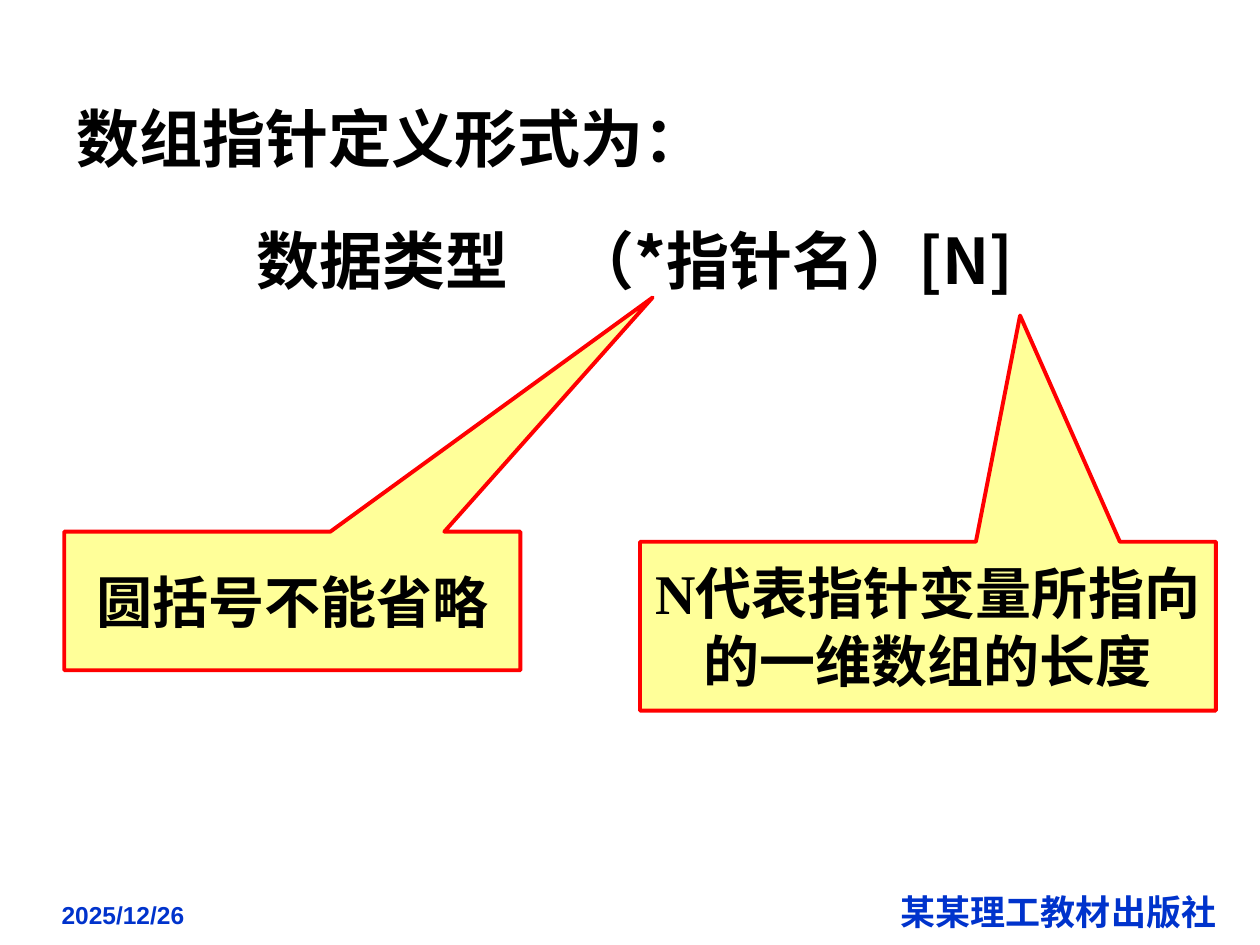
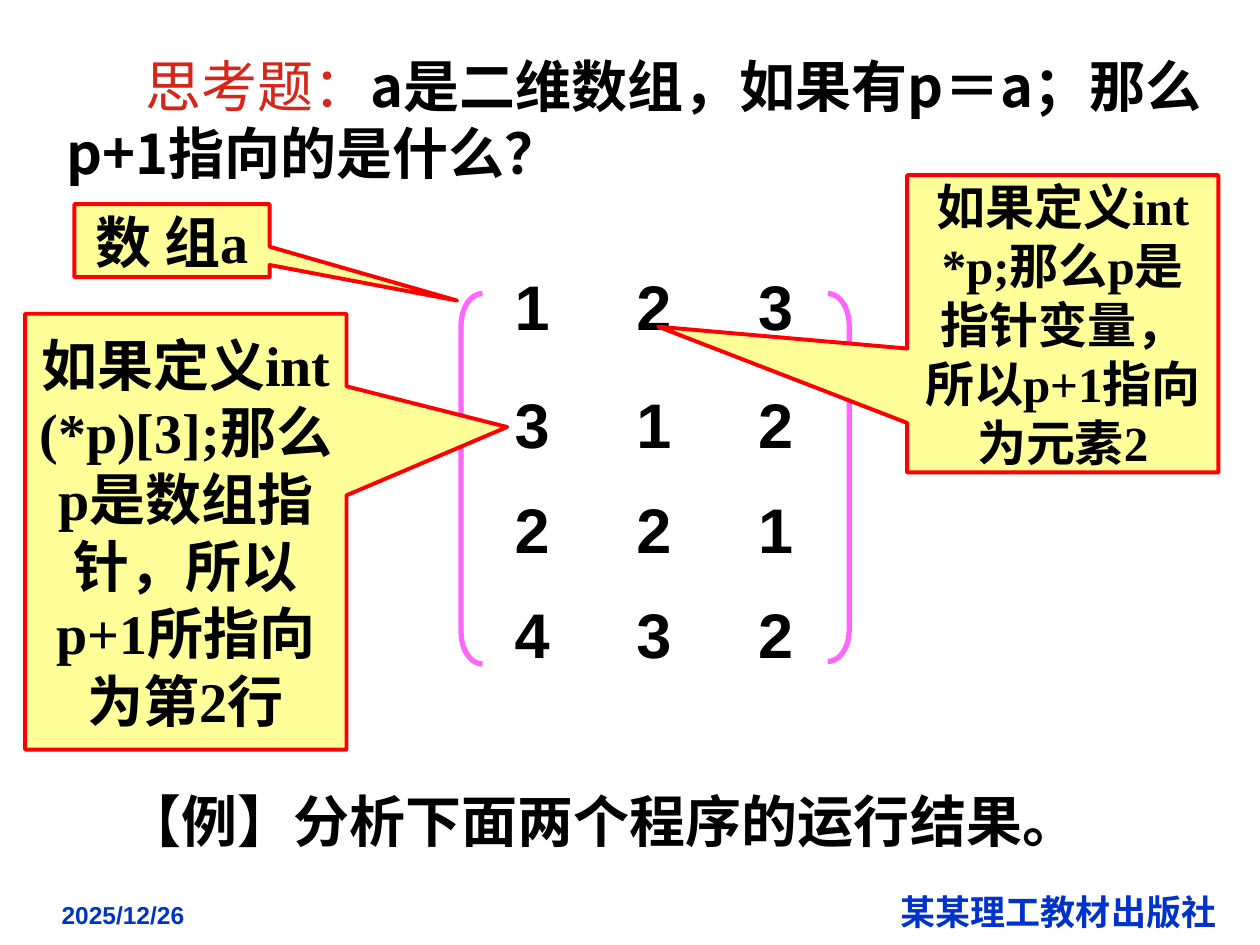
from lxml.etree import SubElement as Sub
from pptx import Presentation
from pptx.dml.color import RGBColor as Rgb
from pptx.enum.shapes import MSO_SHAPE as Kind
from pptx.enum.text import MSO_ANCHOR as Anchor, PP_ALIGN as Align
from pptx.oxml.ns import qn
from pptx.util import Inches, Pt

COLORS = {"ink": "000000", "blue": "0033CC", "red": "D92517",
          "edge": "FF0000", "note": "FFFF99", "pink": "FF66FF"}
SERIF, SANS, HAN = "Times New Roman", "Arial", "Noto Sans CJK SC"
COLS, ROWS = 100, 75  # grid units across and down the slide


def tint(name):
    return Rgb.from_string(COLORS[name])


def write(para, text, size=32, font=SERIF, color="ink", bold=True):
    run = para.add_run()
    run.text = text
    style = run.font
    style.name, style.size, style.bold = font, Pt(size), bold
    style.color.rgb = tint(color)
    Sub(run._r.get_or_add_rPr(), qn("a:ea"), typeface=HAN)


class Deck:
    def __init__(self):
        self.show = Presentation()
        self.show.slide_width, self.show.slide_height = Inches(10), Inches(7.5)
        self.slide = None

    def place(self, x, y, w, h):
        across = self.show.slide_width / COLS
        down = self.show.slide_height / ROWS
        return [round(v) for v in (x * across, y * down, w * across, h * down)]

    def page(self):
        self.slide = self.show.slides.add_slide(self.show.slide_layouts[6])
        # Footer shared by all slides
        press = self.text(70.5, 70.2, 29.1, 4.3)
        write(press, "某某理工教材出版社", size=20, font="Lato", color="blue")
        date = self.text(3.9, 70.9, 25, 2.9)
        write(date, "2025/12/26", size=14, font=SANS, color="blue")

    def text(self, *area):
        """Add a text box and return its first paragraph."""
        frame = self.slide.shapes.add_textbox(*self.place(*area)).text_frame
        frame.word_wrap = True
        return frame.paragraphs[0]

    def shape(self, kind, area, turns, line, width):
        item = self.slide.shapes.add_shape(kind, *self.place(*area))
        item.shadow.inherit = False
        for i, turn in enumerate(turns):
            item.adjustments[i] = turn
        item.line.color.rgb = tint(line)
        item.line.width = Pt(width)
        item.fill.background()
        return item

    def note(self, text, area, tip, size=32):
        item = self.shape(Kind.RECTANGULAR_CALLOUT, area, tip, "edge", 2.25)
        item.fill.solid()
        item.fill.fore_color.rgb = tint("note")
        frame = item.text_frame
        frame.word_wrap, frame.vertical_anchor = True, Anchor.MIDDLE
        para = frame.paragraphs[0]
        para.alignment = Align.CENTER
        write(para, text, size=size)

    def table(self, data, area, first):
        grid = self.slide.shapes.add_table(
            len(data), len(data[0]), *self.place(*area)).table
        grid.first_row = grid.horz_banding = False
        rest = (area[3] - first) / (len(data) - 1)
        for r, nums in enumerate(data):
            tall = rest if r else first
            grid.rows[r].height = self.place(0, 0, 0, tall)[3]
            for c, num in enumerate(nums):
                cell = grid.cell(r, c)
                cell.fill.background()
                para = cell.text_frame.paragraphs[0]
                para.alignment = Align.CENTER
                write(para, str(num), size=36, font=SANS)


def define(deck):
    deck.page()
    # Definition
    head = deck.text(5.1, 4.4, 90.6, 22)
    form = head._parent.add_paragraph()
    form.alignment, form.space_before = Align.CENTER, Pt(5)
    for para, text in ((head, "数组指针定义形式为："),
                       (form, "数据类型　（*指针名）[N]")):
        para.line_spacing = 1.5
        write(para, text, size=36, font=HAN)
    # Remarks
    deck.note("N代表指针变量所指向的一维数组的长度",
              (50.8, 43, 45.7, 13.4), (0.16, -1.84))
    deck.note("圆括号不能省略", (5.1, 42.2, 36.2, 11), (0.79, -2.19))


def quiz(deck):
    deck.page()
    # Matrix with its brackets
    deck.table([(1, 2, 3), (3, 1, 2), (2, 2, 1), (4, 3, 2)],
               (37.4, 21.2, 29, 34.4), first=9.4)
    for kind, x, tall in ((Kind.LEFT_BRACKET, 36.6, 29.4),
                          (Kind.RIGHT_BRACKET, 65.7, 29.2)):
        deck.shape(kind, (x, 23.3, 1.7, tall), [1.47], "pink", 3)
    # Question
    ask = deck.text(4.3, 3.6, 92.5, 11.7)
    ask._p.get_or_add_pPr().set("indent", str(Inches(0.63)))
    write(ask, "思考题：", color="red", bold=False)
    write(ask, "a是二维数组，如果有p＝a；那么p+1指向的是什么？", font=HAN)
    # Answers
    deck.note("数 组a", (5.9, 16.2, 15.5, 5.8), (1.46, 0.82))
    deck.note("如果定义int *p;那么p是指针变量，所以p+1指向为元素2",
              (72, 13.9, 24.7, 23.6), (-1.3, 0.01), size=28)
    deck.note("如果定义int (*p)[3];那么p是数组指针，所以p+1所指向为第2行",
              (2, 24.9, 25.5, 34.6), (1, -0.24))
    # Next example
    write(deck.text(9, 61.9, 82.7, 6.3), "【例】分析下面两个程序的运行结果。")


def main():
    deck = Deck()
    define(deck)
    quiz(deck)
    deck.show.save("out.pptx")


if __name__ == "__main__":
    main()
